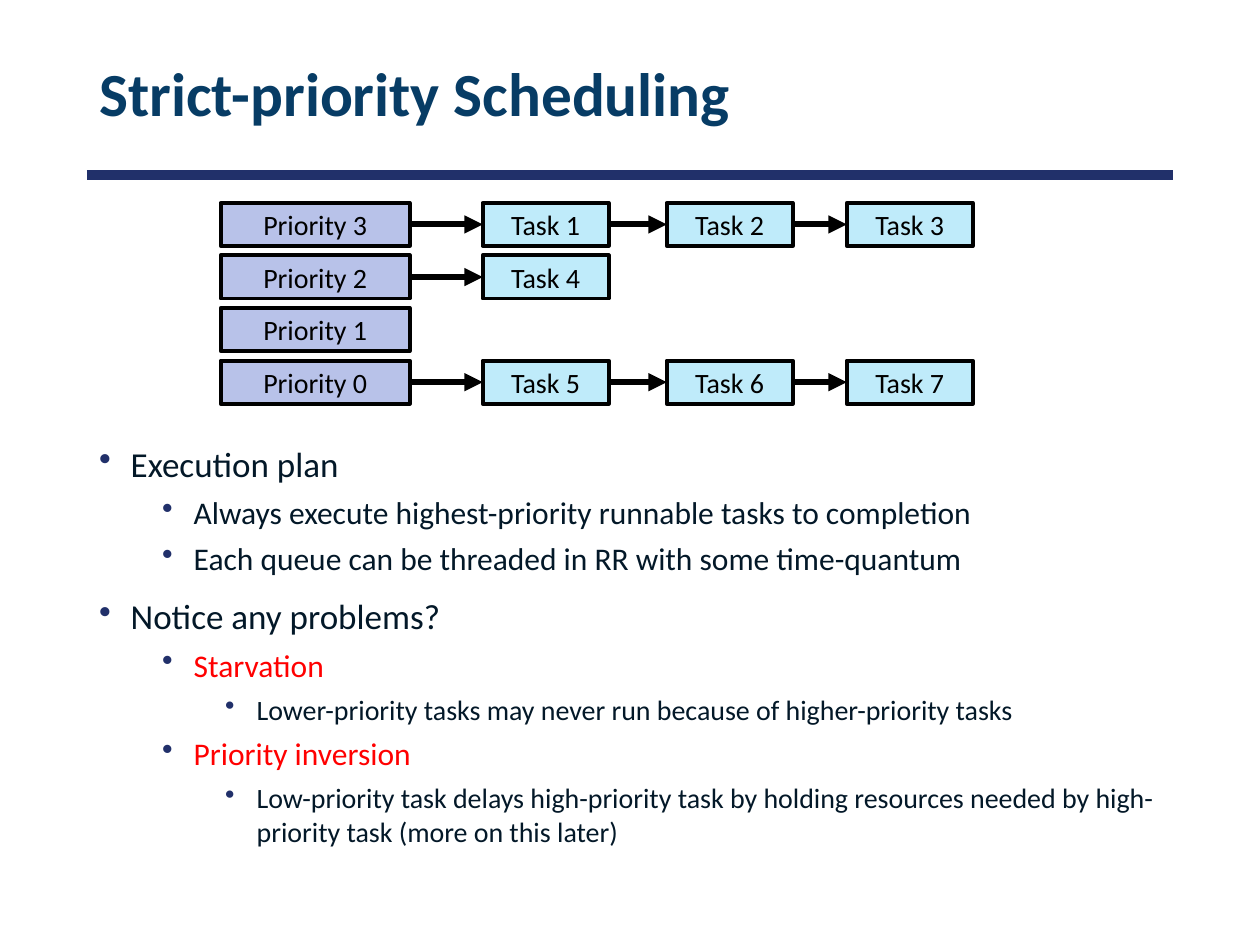
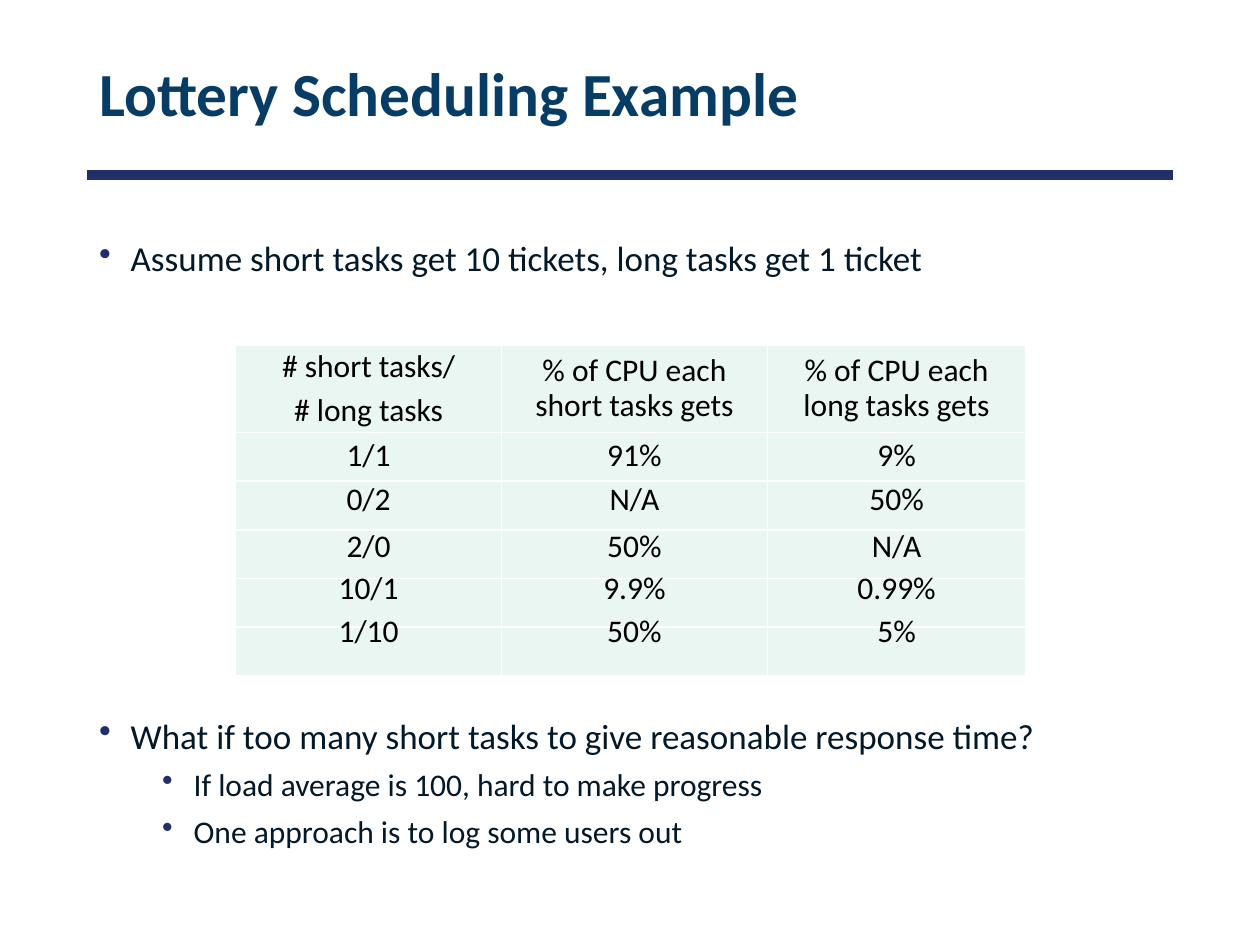
"""Build two slides on CPU scheduling: strict priority and lottery."""
from dataclasses import dataclass
from typing import Any, Sequence

import lxml.etree
import pptx
import pptx.dml.color
import pptx.enum.shapes
import pptx.enum.text
import pptx.oxml.ns
import pptx.presentation
import pptx.slide
import pptx.util

Cm = pptx.util.Cm
Pt = pptx.util.Pt

FONT = "Calibri"
NAVY = "21306A"
TITLE_BLUE = "073C65"
BODY_INK = "031828"
BLACK = "000000"
WHITE = "FFFFFF"
RED = "FF0000"
PRIORITY_FILL = "B8C2E9"
TASK_FILL = "BFEBFA"
TABLE_FILL = "EAF6F2"
NO_GRID_STYLE = "{2D5ABB26-0587-4C30-8999-92F81FD0307C}"

MARGIN_LEFT = 1.75
CONTENT_WIDTH = 21.9
BULLET_SIZES = (20, 18, 16)
BULLET_GAPS = (10, 5, 5)

QUEUE_TOP = 4.09
QUEUE_PITCH = 1.06
BOX_HEIGHT = 0.87
PRIORITY_LEFT = 4.45
PRIORITY_WIDTH = 3.81
TASK_LEFTS = (9.73, 13.44, 17.07)
TASK_WIDTH = 2.54

TABLE_LEFT = 4.75
COLUMN_WIDTHS = (5.36, 5.36, 5.21)


@dataclass(frozen=True)
class Bullet:
    text: str
    level: int = 0
    color: str = BODY_INK
    gap: float | None = None


@dataclass(frozen=True)
class Queue:
    priority: str
    tasks: tuple[str, ...] = ()


@dataclass(frozen=True)
class ShareRow:
    top: float
    values: tuple[str, str, str]


QUEUES = (
    Queue("Priority 3", ("Task 1", "Task 2", "Task 3")),
    Queue("Priority 2", ("Task 4",)),
    Queue("Priority 1"),
    Queue("Priority 0", ("Task 5", "Task 6", "Task 7")),
)
PRIORITY_BULLETS = (
    Bullet("Execution plan"),
    Bullet("Always execute highest-priority runnable tasks to completion", 1),
    Bullet("Each queue can be threaded in RR with some time-quantum", 1),
    Bullet("Notice any problems?"),
    Bullet("Starvation", 1, RED),
    Bullet("Lower-priority tasks may never run because of higher-priority tasks", 2),
    Bullet("Priority inversion", 1, RED),
    Bullet("Low-priority task delays high-priority task by holding resources "
           "needed by high-priority task (more on this later)", 2),
)
LOTTERY_BULLETS = (
    Bullet("Assume short tasks get 10 tickets, long tasks get 1 ticket"),
    Bullet("What if too many short tasks to give reasonable response time?", gap=249),
    Bullet("If load average is 100, hard to make progress", 1),
    Bullet("One approach is to log some users out", 1),
)
HEADINGS = ("# short tasks/\n# long tasks", "% of CPU each short tasks gets",
            "% of CPU each long tasks gets")
SHARE_ROWS = (
    ShareRow(8.74, ("1/1", "91%", "9%")),
    ShareRow(9.63, ("0/2", "N/A", "50%")),
    ShareRow(10.59, ("2/0", "50%", "N/A")),
    ShareRow(11.43, ("10/1", "9.9%", "0.99%")),
    ShareRow(12.29, ("1/10", "50%", "5%")),
)


def rgb(color: str) -> pptx.dml.color.RGBColor:
    return pptx.dml.color.RGBColor.from_string(color)


def add_element(parent: Any, tag: str, **attributes: str) -> Any:
    return lxml.etree.SubElement(parent, pptx.oxml.ns.qn(tag), attributes)


def format_runs(paragraph: Any, size: float, color: str, bold: bool = False) -> None:
    for run in paragraph.runs:
        run.font.name = FONT
        run.font.size = Pt(size)
        run.font.bold = bold
        run.font.color.rgb = rgb(color)


def add_line(slide: pptx.slide.Slide, left: float, right: float, y: float,
             color: str, weight: float, arrow: bool = False) -> None:
    connector = slide.shapes.add_connector(
        pptx.enum.shapes.MSO_CONNECTOR.STRAIGHT, Cm(left), Cm(y), Cm(right), Cm(y))
    connector.line.color.rgb = rgb(color)
    connector.line.width = Pt(weight)
    if arrow:
        add_element(connector.line._get_or_add_ln(), "a:tailEnd", type="triangle")
    add_element(connector._element.spPr, "a:effectLst")


def add_titled_slide(presentation: pptx.presentation.Presentation,
                     title: str) -> pptx.slide.Slide:
    slide = presentation.slides.add_slide(
        presentation.slide_layouts.get_by_name("Title Only"))
    shape = slide.shapes.title
    shape.left, shape.top = Cm(MARGIN_LEFT), Cm(0.58)
    shape.width, shape.height = Cm(CONTENT_WIDTH), Cm(2.74)
    frame = shape.text_frame
    frame.text = title
    frame.auto_size = pptx.enum.text.MSO_AUTO_SIZE.NONE
    frame.vertical_anchor = pptx.enum.text.MSO_ANCHOR.MIDDLE
    paragraph = frame.paragraphs[0]
    paragraph.alignment = pptx.enum.text.PP_ALIGN.LEFT
    paragraph.line_spacing = 0.9
    format_runs(paragraph, 35, TITLE_BLUE, bold=True)
    add_line(slide, MARGIN_LEFT, MARGIN_LEFT + CONTENT_WIDTH, 3.53, NAVY, 6)
    return slide


def add_bullets(slide: pptx.slide.Slide, top: float, height: float,
                bullets: Sequence[Bullet]) -> None:
    frame = slide.shapes.add_textbox(
        Cm(MARGIN_LEFT), Cm(top), Cm(CONTENT_WIDTH), Cm(height)).text_frame
    frame.word_wrap = True
    frame.text = "\n".join(bullet.text for bullet in bullets)
    for paragraph, bullet in zip(frame.paragraphs, bullets):
        gap = BULLET_GAPS[bullet.level] if bullet.gap is None else bullet.gap
        paragraph.level = bullet.level
        paragraph.space_before = Pt(gap)
        format_runs(paragraph, BULLET_SIZES[bullet.level], bullet.color)
        properties = paragraph._p.get_or_add_pPr()
        properties.set("marL", str(Cm(0.635 + 1.27 * bullet.level)))
        properties.set("indent", str(Cm(-0.635)))
        bullet_color = add_element(properties, "a:buClr")
        add_element(bullet_color, "a:srgbClr", val=NAVY)
        add_element(properties, "a:buChar", char="•")


def add_box(slide: pptx.slide.Slide, left: float, top: float, width: float,
            label: str, fill: str) -> None:
    shape = slide.shapes.add_shape(pptx.enum.shapes.MSO_SHAPE.RECTANGLE,
                                   Cm(left), Cm(top), Cm(width), Cm(BOX_HEIGHT))
    shape.shadow.inherit = False
    shape.fill.solid()
    shape.fill.fore_color.rgb = rgb(fill)
    shape.line.color.rgb = rgb(BLACK)
    shape.line.width = Pt(2.25)
    frame = shape.text_frame
    frame.text = label
    frame.vertical_anchor = pptx.enum.text.MSO_ANCHOR.MIDDLE
    frame.paragraphs[0].alignment = pptx.enum.text.PP_ALIGN.CENTER
    format_runs(frame.paragraphs[0], 16, BLACK)


def add_queue(slide: pptx.slide.Slide, queue: Queue, top: float) -> None:
    add_box(slide, PRIORITY_LEFT, top, PRIORITY_WIDTH, queue.priority, PRIORITY_FILL)
    previous_right = PRIORITY_LEFT + PRIORITY_WIDTH
    for left, task in zip(TASK_LEFTS, queue.tasks):
        add_box(slide, left, top, TASK_WIDTH, task, TASK_FILL)
        add_line(slide, previous_right, left, top + BOX_HEIGHT / 2, BLACK, 3.5, arrow=True)
        previous_right = left + TASK_WIDTH


def add_cell_borders(cell: Any) -> None:
    properties = cell._tc.get_or_add_tcPr()
    for position, side in enumerate(("a:lnL", "a:lnR", "a:lnT", "a:lnB")):
        border = add_element(properties, side, w=str(Pt(1)))
        add_element(add_element(border, "a:solidFill"), "a:srgbClr", val=WHITE)
        properties.insert(position, border)


def fill_cell(cell: Any, text: str, filled: bool) -> None:
    cell.margin_left = cell.margin_right = Cm(0.2)
    cell.margin_top = cell.margin_bottom = Cm(0.1)
    cell.vertical_anchor = pptx.enum.text.MSO_ANCHOR.MIDDLE
    if filled:
        cell.fill.solid()
        cell.fill.fore_color.rgb = rgb(TABLE_FILL)
        add_cell_borders(cell)
    else:
        cell.fill.background()
    if text:
        cell.text_frame.text = text
        for paragraph in cell.text_frame.paragraphs:
            paragraph.alignment = pptx.enum.text.PP_ALIGN.CENTER
            paragraph.line_spacing = 0.9
            paragraph.space_before = Pt(5.4)
            format_runs(paragraph, 18, BLACK)


def add_grid(slide: pptx.slide.Slide, top: float, heights: Sequence[float],
             rows: Sequence[Sequence[str]], filled: bool = False) -> None:
    table = slide.shapes.add_table(
        len(rows), len(COLUMN_WIDTHS), Cm(TABLE_LEFT), Cm(top),
        Cm(sum(COLUMN_WIDTHS)), Cm(sum(heights))).table
    table.first_row = table.horz_banding = False
    table._tbl.tblPr.find(pptx.oxml.ns.qn("a:tableStyleId")).text = NO_GRID_STYLE
    for column, width in zip(table.columns, COLUMN_WIDTHS):
        column.width = Cm(width)
    for row, height, texts in zip(table.rows, heights, rows):
        row.height = Cm(height)
        for cell, text in zip(row.cells, texts):
            fill_cell(cell, text, filled)


def build_priority_slide(presentation: pptx.presentation.Presentation) -> None:
    slide = add_titled_slide(presentation, "Strict-priority Scheduling")
    add_bullets(slide, 8.79, 9.68, PRIORITY_BULLETS)
    for index, queue in enumerate(QUEUES):
        add_queue(slide, queue, QUEUE_TOP + index * QUEUE_PITCH)


def build_lottery_slide(presentation: pptx.presentation.Presentation) -> None:
    slide = add_titled_slide(presentation, "Lottery Scheduling Example")
    add_bullets(slide, 4.65, 13.79, LOTTERY_BULLETS)
    empty_rows = [("",) * len(COLUMN_WIDTHS)] * len(SHARE_ROWS)
    add_grid(slide, 6.95, [1.77] + [0.98] * len(SHARE_ROWS),
             [HEADINGS, *empty_rows], filled=True)
    for share in SHARE_ROWS:
        add_grid(slide, share.top, [0.87], [share.values])


def main() -> None:
    presentation = pptx.Presentation()
    presentation.slide_width, presentation.slide_height = Cm(25.4), Cm(19.05)
    build_priority_slide(presentation)
    build_lottery_slide(presentation)
    presentation.save("out.pptx")


if __name__ == "__main__":
    main()
